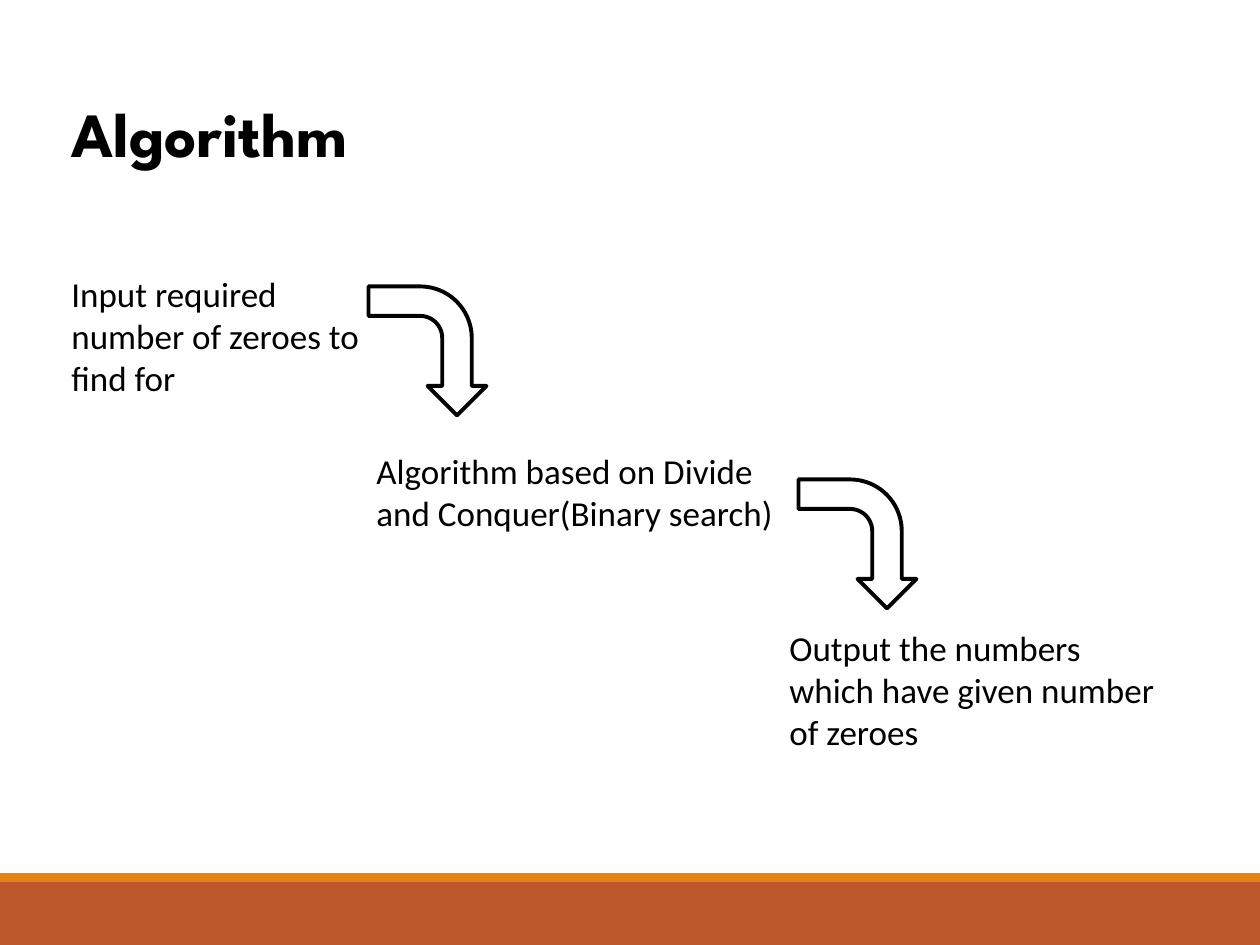
from dataclasses import dataclass

from pptx import Presentation
from pptx.dml.color import RGBColor
from pptx.enum.shapes import MSO_SHAPE
from pptx.util import Emu, Pt

EMU_PER_PIXEL = 914400 / 126


@dataclass(frozen=True)
class Theme:
    """Colours, fonts and type sizes of the slide."""
    ink: str = "000000"
    paper: str = "FFFFFF"
    rust: str = "BD582C"
    orange: str = "E48312"
    title_font: str = "League Spartan"
    body_font: str = "Calibri"
    title_size: int = 36
    body_size: int = 20
    outline: float = 2.25


THEME = Theme()

FOOTER_BARS = [
    ((0, 882, 1260, 63), THEME.rust),
    ((0, 873, 1260, 9), THEME.orange),
]
STEPS = [
    ((59, 266, 335, 140), "Input required number of zeroes to find for"),
    ((364, 443, 433, 97), "Algorithm based on Divide and Conquer(Binary search)"),
    ((777, 620, 394, 140), "Output the numbers which have given number of zeroes"),
]
ARROW_CORNERS = [(363, 292), (793, 485)]
ARROW_SIZE = (129, 118)


def px(*lengths):
    """Turn pixel lengths into EMU."""
    return [Emu(round(length * EMU_PER_PIXEL)) for length in lengths]


def add_filled_shape(page, kind, frame, colour):
    """Add a preset shape with a plain fill, no line and no shadow."""
    shape = page.shapes.add_shape(kind, *px(*frame))
    shape.shadow.inherit = False
    shape.fill.solid()
    shape.fill.fore_color.rgb = RGBColor.from_string(colour)
    shape.line.fill.background()
    return shape


def add_bent_arrow(page, corner):
    """Add an outlined bent arrow that turns downwards."""
    arrow = add_filled_shape(page, MSO_SHAPE.BENT_ARROW, corner + ARROW_SIZE, THEME.paper)
    arrow.rotation = 90
    arrow.line.color.rgb = RGBColor.from_string(THEME.ink)
    arrow.line.width = Pt(THEME.outline)


def add_text(page, frame, text, font, size, bold=False):
    """Add a wrapping text box with one run."""
    box = page.shapes.add_textbox(*px(*frame))
    box.text_frame.word_wrap = True
    para = box.text_frame.paragraphs[0]
    span = para.add_run()
    span.text = text
    span.font.name = font
    span.font.size = Pt(size)
    span.font.bold = bold
    span.font.color.rgb = RGBColor.from_string(THEME.ink)


def main():
    """Build the slide and save it."""
    deck = Presentation()
    deck.slide_width, deck.slide_height = px(1260, 945)
    page = deck.slides.add_slide(deck.slide_layouts[6])
    for frame, colour in FOOTER_BARS:
        add_filled_shape(page, MSO_SHAPE.RECTANGLE, frame, colour)
    add_text(page, (59, 88, 364, 89), "Algorithm",
             THEME.title_font, THEME.title_size, bold=True)
    for frame, text in STEPS:
        add_text(page, frame, text, THEME.body_font, THEME.body_size)
    for corner in ARROW_CORNERS:
        add_bent_arrow(page, corner)
    deck.save("out.pptx")


main()
